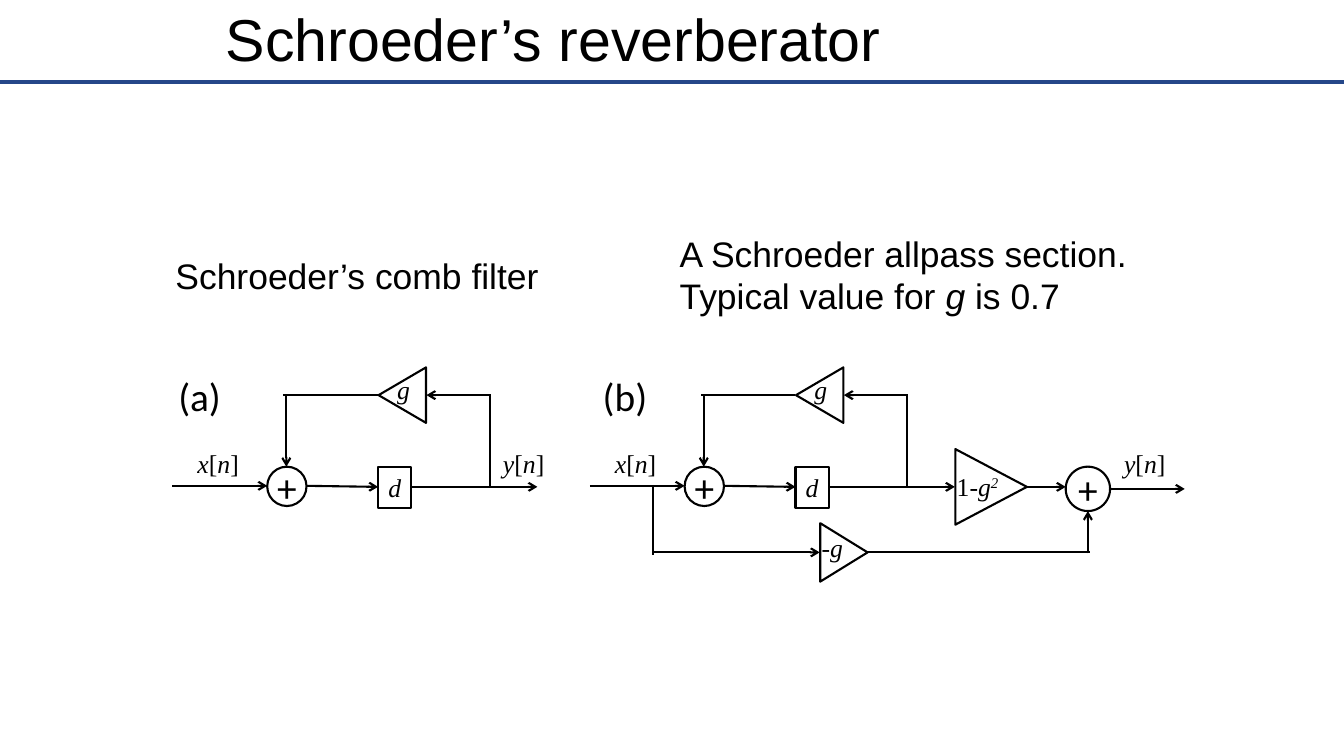
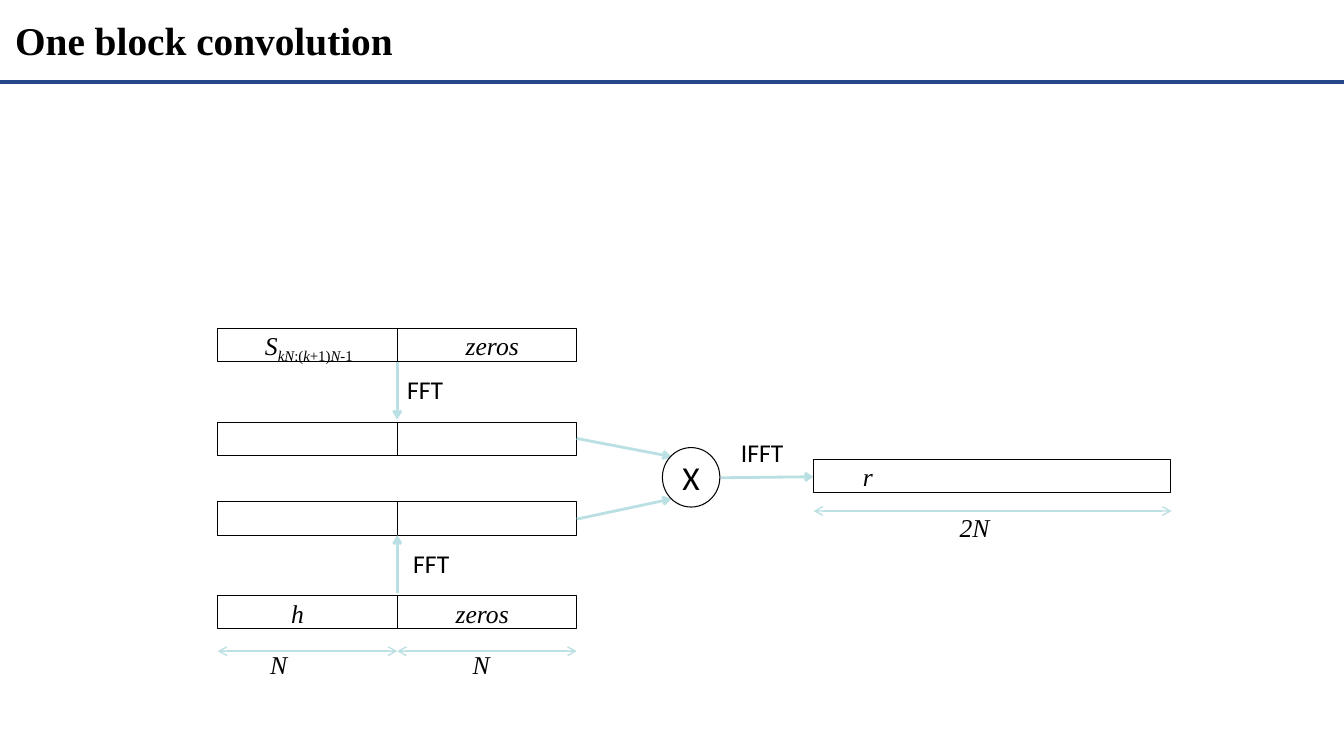
from dataclasses import dataclass

from lxml.etree import SubElement
from pptx import Presentation
from pptx.dml.color import RGBColor as Rgb
from pptx.enum.shapes import MSO_CONNECTOR as Link, MSO_SHAPE as Kind
from pptx.enum.text import MSO_ANCHOR as Anchor, PP_ALIGN as Align
from pptx.oxml.ns import qn
from pptx.util import Inches, Pt


@dataclass(frozen=True)
class Theme:
    ink: str = "000000"
    band: str = "254789"
    pale: str = "BBE0E3"
    sans: str = "Arial"
    plain: str = "Calibri"
    serif: str = "Times New Roman"
    title: float = 42.2
    large: float = 28.1
    note: float = 25.3
    mid: float = 23.9
    small: float = 18.3
    thick: float = 3
    bold: float = 2
    line: float = 1.5
    fine: float = 1
    thin: float = 0.75


class Deck:
    def __init__(self):
        self.look = Theme()
        self.show = Presentation()
        self.show.slide_width = Inches(13.33)
        self.show.slide_height = Inches(7.5)
        self.page = None

    def start(self, text, box, size, face, bold=False):
        self.page = self.show.slides.add_slide(self.show.slide_layouts[6])
        look = self.look
        self.wire((0, 0.81), (13.33, 0.81), color=look.band, width=look.thick)
        title = self.text(text, box, size, face, pad=(0.06, 0.06), wrap=True)
        title.text_frame.vertical_anchor = Anchor.MIDDLE
        title.text_frame.paragraphs[0].font.bold = bold

    def label(self, frame, text, size, face, pad, slant=None):
        frame.margin_left = frame.margin_right = Inches(pad[0])
        frame.margin_top = frame.margin_bottom = Inches(pad[1])
        para = frame.paragraphs[0]
        font = para.font
        font.size, font.name, font.italic = Pt(size), face, slant
        font.color.rgb = Rgb.from_string(self.look.ink)
        parts = [(text,)] if isinstance(text, str) else text
        for part, *style in parts:
            run = para.add_run()
            run.text = part
            if style:
                run.font.italic = style[0]
            if len(style) > 1:
                run._r.get_or_add_rPr().set("baseline", str(style[1] * 1000))
        return para

    def text(self, text, box, size, face, pad=(0.1, 0.05), wrap=False, slant=None):
        item = self.page.shapes.add_textbox(*map(Inches, box))
        item.text_frame.word_wrap = wrap
        self.label(item.text_frame, text, size, face, pad, slant)
        return item

    def math(self, text, x, y, width=0.4):
        self.text(text, (x, y, width, 0.41), self.look.small, self.look.serif, slant=True)

    def word(self, text, x, y, width):
        self.text(text, (x, y, width, 0.41), self.look.small, self.look.plain)

    def signal(self, name, x):
        self.math([(name, True), ("[", False), ("n", True), ("]", False)], x, 4.39, 0.62)

    def shape(self, kind, box, width, text="", size=None, face=None, slant=None):
        item = self.page.shapes.add_shape(kind, *map(Inches, box))
        item.shadow.inherit = False
        item.fill.background()
        item.line.color.rgb = Rgb.from_string(self.look.ink)
        item.line.width = Pt(width)
        if text:
            frame = item.text_frame
            frame.word_wrap = False
            frame.vertical_anchor = Anchor.MIDDLE
            self.label(frame, text, size, face, (0, 0), slant).alignment = Align.CENTER
        return item

    def sum(self, x, y, side):
        look = self.look
        self.shape(Kind.OVAL, (x, y, side, side), look.line, "+", look.large, look.plain)

    def gain(self, x, y, base, depth, turn):
        box = (x - base / 2, y - depth / 2, base, depth)
        self.shape(Kind.ISOSCELES_TRIANGLE, box, self.look.line).rotation = turn

    def cell(self, x, y, width):
        self.shape(Kind.RECTANGLE, (x, y, width, 0.33), self.look.thin)

    def wire(self, start, end, head=False, tail=False, color=None, width=None):
        ends = map(Inches, (*start, *end))
        item = self.page.shapes.add_connector(Link.STRAIGHT, *ends)
        item.line.color.rgb = Rgb.from_string(color or self.look.ink)
        item.line.width = Pt(width or self.look.line)
        edge = item.line._get_or_add_ln()
        for name, used in (("headEnd", head), ("tailEnd", tail)):
            if used:
                SubElement(edge, qn(f"a:{name}")).set("type", "arrow")
        SubElement(item._element.spPr, qn("a:effectLst"))

    def flow(self, start, end):
        self.wire(start, end, tail=True, color=self.look.pale, width=self.look.bold)

    def span(self, left, right, y):
        self.wire((left, y), (right, y), True, True, self.look.pale, self.look.fine)

    def loop(self, x):
        look = self.look
        self.signal("x", x + 0.15)
        self.wire((x, 4.82), (x + 0.94, 4.82), tail=True)
        self.sum(x + 0.94, 4.63, 0.39)
        self.wire((x + 1.33, 4.82), (x + 2.04, 4.83), tail=True)
        box = (x + 2.04, 4.63, 0.33, 0.41)
        self.shape(Kind.RECTANGLE, box, look.line, "d", look.small, look.serif, True)
        self.wire((x + 2.37, 4.83), (x + 3.62, 4.83), tail=True)
        self.wire((x + 3.15, 4.82), (x + 3.15, 3.91))
        self.wire((x + 3.15, 3.92), (x + 2.52, 3.92), tail=True)
        self.gain(x + 2.28, 3.92, 0.55, 0.47, 270)
        self.math("g", x + 2.13, 3.66, 0.33)
        self.wire((x + 2.04, 3.92), (x + 1.1, 3.92))
        self.wire((x + 1.13, 3.92), (x + 1.13, 4.63), tail=True)


def reverb(deck):
    look = deck.look
    deck.start("Schroeder’s reverberator", (2.18, 0, 9, 0.76), look.title, look.sans)
    note = dict(size=look.note, face=look.sans, pad=(0.07, 0.04))
    deck.text("Schroeder’s comb filter", (1.67, 2.48, 3.78, 0.5), **note)
    allpass = [("A Schroeder allpass section. Typical value for ",), ("g", True), (" is 0.7", False)]
    deck.text(allpass, (6.67, 2.26, 5, 0.92), wrap=True, **note)
    for mark, left, x in (("(a)", 1.67, 1.71), ("(b)", 5.88, 5.85)):
        deck.text(mark, (left, 3.64, 0.64, 0.57), look.large, look.plain)
        deck.loop(x)
    deck.signal("y", 4.89)
    deck.gain(9.83, 4.83, 0.75, 0.71, 90)
    deck.math([("1", False), ("-g", True), ("2", True, 30)], 9.39, 4.62, 0.63)
    deck.wire((10.18, 4.83), (10.57, 4.83), tail=True)
    deck.sum(10.57, 4.63, 0.44)
    deck.wire((11.02, 4.85), (11.75, 4.85), tail=True)
    deck.signal("y", 11.05)
    deck.wire((6.48, 4.81), (6.48, 5.51))
    deck.wire((6.48, 5.48), (8.13, 5.48), tail=True)
    deck.gain(8.37, 5.48, 0.58, 0.47, 90)
    deck.math("-g", 8.05, 5.23, 0.42)
    deck.wire((8.6, 5.48), (10.81, 5.48))
    deck.wire((10.79, 5.49), (10.79, 5.07), tail=True)


def block(deck):
    look = deck.look
    left, half = 2.16, 1.78
    mid, right = left + half, left + 2 * half
    deck.start("One block convolution", (0.09, 0.04, 13.14, 0.71), look.large, look.serif, True)
    for y in (3.26, 4.19, 4.98, 5.91):
        for x in (left, mid):
            deck.cell(x, y, half)
    for x in (left, mid):
        deck.span(x, x + half, 6.46)
    part = [("S", True), ("kN", True, -25), (":(", False, -25), ("k", True, -25),
            ("+1)", False, -25), ("N", True, -25), ("-1", False, -25)]
    deck.math(part, 2.53, 3.22, 1.1)
    deck.math("zeros", 4.52, 3.22, 0.73)
    deck.math("h", 2.79, 5.88, 0.33)
    deck.math("zeros", 4.42, 5.88, 0.73)
    for x in (2.58, 4.59):
        deck.math("N", x, 6.39, 0.37)
    deck.flow((mid, 3.59), (mid, 4.16))
    deck.word("FFT", mid, 3.66, 0.56)
    deck.flow((mid, 5.88), (mid, 5.31))
    deck.word("FFT", 4, 5.39, 0.56)
    deck.flow((right, 4.35), (6.66, 4.53))
    deck.flow((right, 5.15), (6.66, 4.95))
    deck.shape(Kind.OVAL, (6.57, 4.44, 0.57, 0.59), look.thin, "X", look.mid, look.plain)
    deck.flow((7.15, 4.74), (8.07, 4.73))
    deck.word("IFFT", 7.25, 4.28, 0.63)
    deck.cell(8.07, 4.56, 2 * half - 0.02)
    deck.math("r", 8.46, 4.52, 0.3)
    deck.span(8.07, 8.07 + 2 * half - 0.01, 5.07)
    deck.math("2N", 9.42, 5.03, 0.5)


def main():
    deck = Deck()
    reverb(deck)
    block(deck)
    deck.show.save("out.pptx")


if __name__ == "__main__":
    main()
